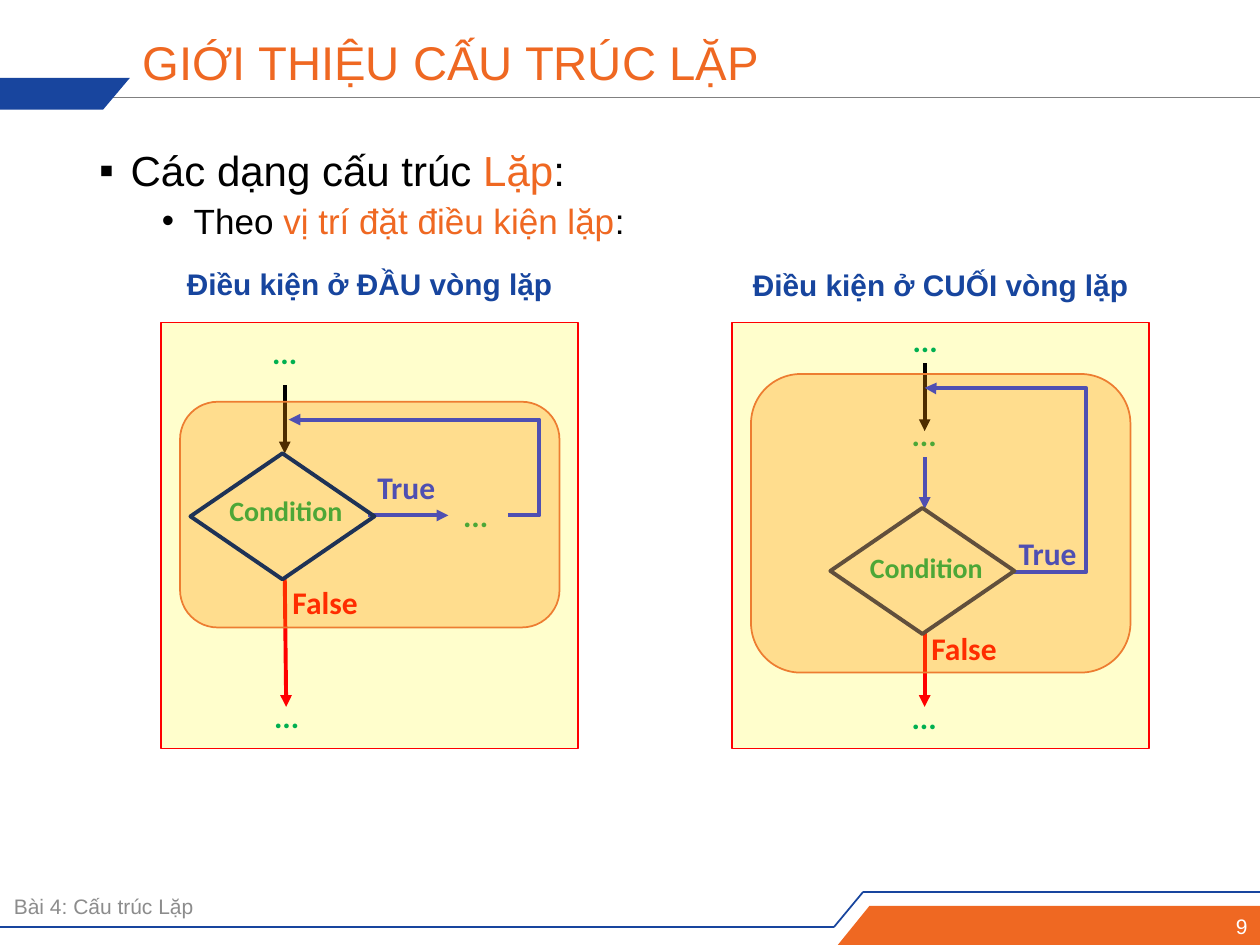
from pptx import Presentation
from pptx.util import Cm, Pt
from pptx.dml.color import RGBColor
from pptx.enum.shapes import MSO_SHAPE, MSO_CONNECTOR
from pptx.enum.text import PP_ALIGN, MSO_ANCHOR
from pptx.oxml.ns import qn
from lxml import etree

RECT, ROUND, DIAMOND = MSO_SHAPE.RECTANGLE, MSO_SHAPE.ROUNDED_RECTANGLE, MSO_SHAPE.DIAMOND
STRAIGHT, ELBOW = MSO_CONNECTOR.STRAIGHT, MSO_CONNECTOR.ELBOW
LEFT, CENTER, RIGHT = PP_ALIGN.LEFT, PP_ALIGN.CENTER, PP_ALIGN.RIGHT
TOP, MIDDLE = MSO_ANCHOR.TOP, MSO_ANCHOR.MIDDLE

C = {k: RGBColor.from_string(v) for k, v in {
    "orange": "EF6822", "navy": "18459E", "heading": "17459E", "black": "000000",
    "rule": "808080", "footer": "8C8C8C", "white": "FFFFFF", "green": "00B050",
    "blue": "0432FF", "red": "FF0000", "yellow": "FFFC00", "amber": "FF9300",
    "amber line": "ED7D31", "diamond": "1E3256"}.items()}

prs = Presentation()
prs.slide_width, prs.slide_height = Cm(25.4), Cm(19.05)
s = prs.slides.add_slide(prs.slide_layouts[5])


def add_text(x, y, w, h, text, size, color, font="Arial", bold=False, align=CENTER, anchor=MIDDLE):
    tf = s.shapes.add_textbox(Cm(x), Cm(y), Cm(w), Cm(h)).text_frame
    tf.word_wrap = True
    tf.vertical_anchor = anchor
    p = tf.paragraphs[0]
    p.text = text
    p.alignment = align
    f = p.runs[0].font
    f.name, f.size, f.bold = font, Pt(size), bold
    f.color.rgb = C[color]


def add_line(x1, y1, x2, y2, color, width=2.25, arrow=True, kind=STRAIGHT):
    c = s.shapes.add_connector(kind, Cm(x1), Cm(y1), Cm(x2), Cm(y2))
    c.line.color.rgb = C[color]
    c.line.width = Pt(width)
    if arrow:
        etree.SubElement(c.line._get_or_add_ln(), qn("a:tailEnd"), type="triangle")
    etree.SubElement(c._element.spPr, qn("a:effectLst"))
    return c


add_line(1.83, 1.96, 25.4, 1.96, "rule", 0.75, False)
footer = [(0, 18.69), (16.81, 18.69), (17.4, 17.98), (25.4, 17.98)]
for start, end in zip(footer, footer[1:]):
    add_line(*start, *end, "navy", 1, False)

for color, points in [
    ("navy", [(0, 1.57), (2.62, 1.57), (2.08, 2.21), (0, 2.21)]),
    ("orange", [(17.53, 18.26), (25.4, 18.26), (25.4, 19.05), (16.89, 19.05)]),
]:
    fb = s.shapes.build_freeform(Cm(points[0][0]), Cm(points[0][1]))
    fb.add_line_segments([(Cm(x), Cm(y)) for x, y in points[1:]])
    sp = fb.convert_to_shape()
    sp.shadow.inherit = False
    sp.fill.solid()
    sp.fill.fore_color.rgb = C[color]
    sp.line.fill.background()

title = s.shapes.title
title.left, title.top, title.width, title.height = Cm(2.62), Cm(0.64), Cm(21.03), Cm(1.35)
tf = title.text_frame
tf.text = "GIỚI THIỆU CẤU TRÚC LẶP"
tf.vertical_anchor = MIDDLE
p = tf.paragraphs[0]
p.alignment, p.line_spacing = LEFT, 0.9
f = p.runs[0].font
f.name, f.size = "Arial", Pt(27)
f.color.rgb = C["orange"]

tf = s.shapes.add_textbox(Cm(1.75), Cm(2.9), Cm(21.9), Cm(2.2)).text_frame
tf.word_wrap = True
bullets = [
    (0, 24, 0, 0.25, "▪", ["Các dạng cấu trúc ", "Lặp", ":"]),
    (1, 20, 5, 0.75, "•", ["Theo ", "vị trí đặt điều kiện lặp", ":"]),
]
for i, (level, size, before, margin, mark, parts) in enumerate(bullets):
    p = tf.add_paragraph() if i else tf.paragraphs[0]
    p.level, p.line_spacing, p.space_before = level, 0.9, Pt(before)
    pPr = p._p.get_or_add_pPr()
    pPr.set("marL", str(Cm(margin * 2.54)))
    pPr.set("indent", str(-Cm(0.64)))
    etree.SubElement(pPr, qn("a:buFont"), typeface="Arial")
    etree.SubElement(pPr, qn("a:buChar"), char=mark)
    for part, color in zip(parts, ["black", "orange", "black"]):
        r = p.add_run()
        r.text = part
        r.font.name, r.font.size = "Arial", Pt(size)
        r.font.color.rgb = C[color]

add_text(0.03, 17.88, 16.74, 0.79, "Bài 4: Cấu trúc Lặp", 12, "footer", align=LEFT)
add_text(20.09, 18.31, 5.31, 0.71, "9", 12, "white", align=RIGHT)

labels = {"...": (1.3, 18, "green"), "True": (1.7, 18, "blue"),
          "False": (2.03, 18, "red"), "Condition": (2.95, 16, "green")}
styles = {RECT: ("yellow", 20, "red", 1), ROUND: ("amber", 30, "amber line", 1),
          DIAMOND: (None, 0, "diamond", 2.25)}
charts = [
    {"heading": (3.25, 5.18, "Điều kiện ở ĐẦU vòng lặp"),
     "shapes": [(RECT, 3.25, 6.5, 8.41, 8.59), (ROUND, 3.63, 8.1, 7.65, 4.55),
                (DIAMOND, 3.84, 9.14, 3.71, 2.54)],
     "arrows": [(5.74, 7.77, 5.74, 9.14, "black"), (5.74, 11.63, 5.77, 14.25, "red"),
                (7.42, 10.39, 9.04, 10.39, "blue")],
     "loop": (10.24, 10.39, 5.82, 8.46), "preset": "bentConnector3", "bends": [-14400],
     "labels": [("...", 5.09, 6.58), ("...", 8.94, 9.88), ("...", 5.13, 13.92),
                ("True", 7.34, 9.32), ("False", 5.54, 11.63), ("Condition", 4.29, 9.83)]},
    {"heading": (14.76, 5.21, "Điều kiện ở CUỐI vòng lặp"),
     "shapes": [(RECT, 14.76, 6.5, 8.41, 8.59), (DIAMOND, 16.74, 10.24, 3.71, 2.54),
                (ROUND, 15.14, 7.54, 7.65, 6.02)],
     "arrows": [(18.64, 7.32, 18.64, 8.69, "black"), (18.64, 12.75, 18.64, 14.25, "red"),
                (18.64, 9.22, 18.64, 10.26, "blue")],
     "loop": (20.4, 11.53, 18.64, 7.82), "preset": "bentConnector4", "bends": [-85300, 99700],
     "labels": [("...", 18, 6.35), ("...", 17.98, 8.25), ("...", 17.98, 13.94),
                ("True", 20.27, 10.64), ("False", 18.42, 12.55), ("Condition", 17.2, 10.97)]},
]
for chart in charts:
    for kind, x, y, w, h in chart["shapes"]:
        fill, alpha, line, width = styles[kind]
        sp = s.shapes.add_shape(kind, Cm(x), Cm(y), Cm(w), Cm(h))
        sp.shadow.inherit = False
        sp.line.color.rgb = C[line]
        sp.line.width = Pt(width)
        if fill:
            sp.fill.solid()
            sp.fill.fore_color.rgb = C[fill]
            clr = sp._element.spPr.find(qn("a:solidFill"))[0]
            etree.SubElement(clr, qn("a:alpha"), val=str(alpha * 1000))
        else:
            sp.fill.background()
        if kind == RECT:
            for arrow in chart["arrows"]:
                add_line(*arrow)
            geom = add_line(*chart["loop"], "blue", kind=ELBOW)._element.spPr.find(qn("a:prstGeom"))
            geom.set("prst", chart["preset"])
            avLst = geom.find(qn("a:avLst"))
            for i, bend in enumerate(chart["bends"], 1):
                etree.SubElement(avLst, qn("a:gd"), name=f"adj{i}", fmla=f"val {bend}")
            for text, tx, ty in chart["labels"]:
                tw, size, color = labels[text]
                add_text(tx, ty, tw, 1.02, text, size, color, "Calibri", True, anchor=TOP)
    x, y, text = chart["heading"]
    add_text(x, y, 8.41, 1.07, text, 17, "heading", bold=True)

prs.save("out.pptx")
